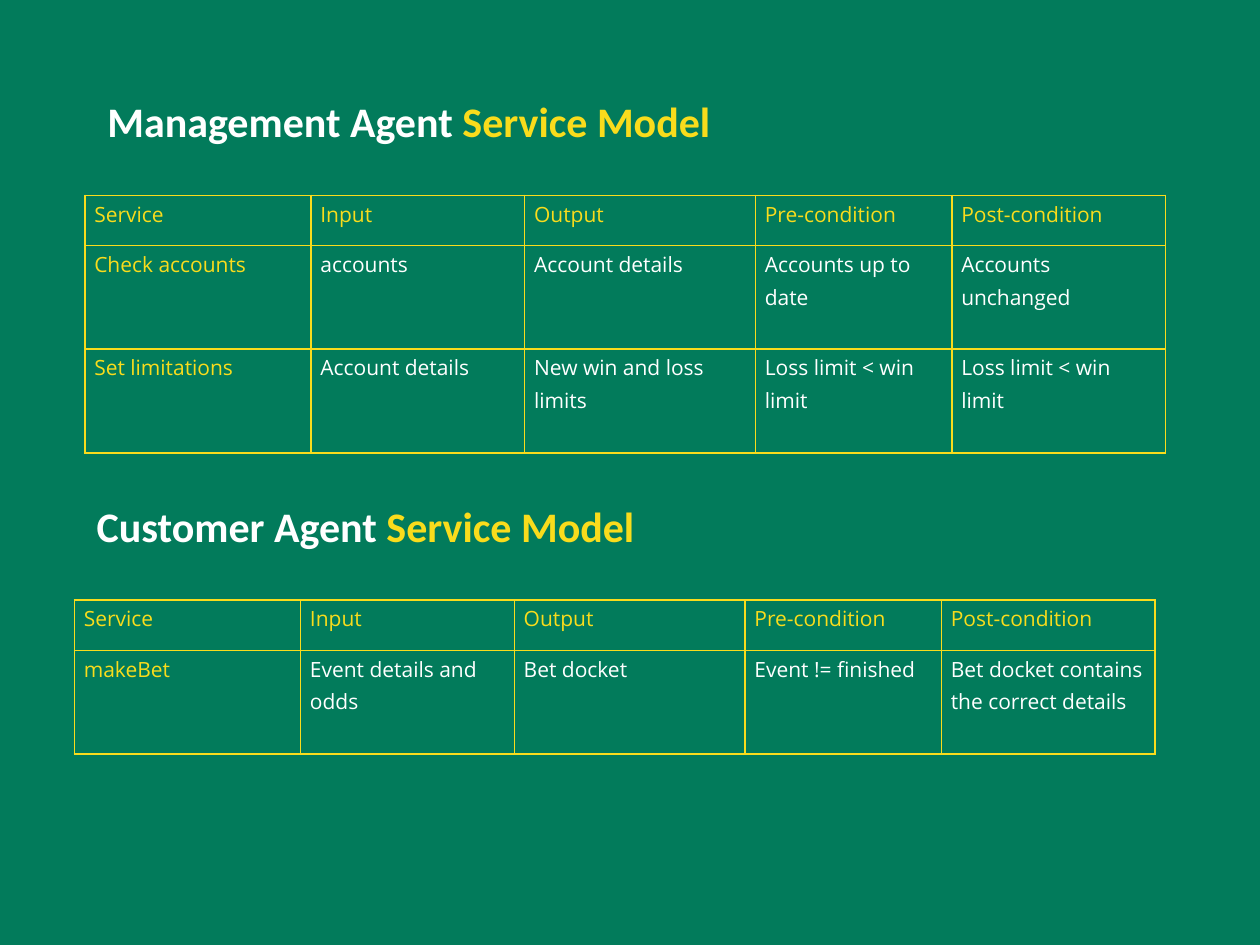
"""Build a slide with the service models of the management and customer agents."""
from lxml import etree
from pptx import Presentation
from pptx.dml.color import RGBColor
from pptx.enum.text import MSO_ANCHOR, MSO_AUTO_SIZE, PP_ALIGN
from pptx.oxml.ns import qn
from pptx.util import Cm, Pt

LEFT = PP_ALIGN.LEFT
MIDDLE = MSO_ANCHOR.MIDDLE
FIT_SHAPE = MSO_AUTO_SIZE.SHAPE_TO_FIT_TEXT

THEME = {
    "background": "027B5B",
    "accent": "F9DC1C",
    "text": "FFFFFF",
    "heading": ("Calibri", 24, True),
    "body": ("Open Sans", 12, False),
    "border": 1,
}
HEADER = ("Service", "Input", "Output", "Pre-condition", "Post-condition")
MODELS = [
    {
        "agent": "Management Agent ",
        "left": 1.91, "top": 1.8, "width": 12.8,
        "services": [
            ("Check accounts", "accounts", "Account details",
             "Accounts up to date", "Accounts unchanged"),
            ("Set limitations", "Account details", "New win and loss limits",
             "Loss limit < win limit", "Loss limit < win limit"),
        ],
    },
    {
        "agent": "Customer Agent ",
        "left": 1.7, "top": 9.96, "width": 11.46,
        "services": [
            ("makeBet", "Event details and odds", "Bet docket",
             "Event != finished", "Bet docket contains the correct details"),
        ],
    },
]
HEADING_HEIGHT = 1.27
TABLE_SHIFT = (-0.2, 2.14)
COLUMN_WIDTHS = (4.56, 4.31, 4.65, 3.96, 4.31)
HEADER_HEIGHT, SERVICE_HEIGHT = 1.01, 2.09
CELL_INSET = 0.19


def style(span, kind, color):
    """Give a run one of the theme's fonts and colours."""
    span.font.name, size, span.font.bold = THEME[kind]
    span.font.size = Pt(size)
    span.font.color.rgb = RGBColor.from_string(THEME[color])


def write_heading(box, model):
    """Place a heading and write it in two colours."""
    box.left, box.top = Cm(model["left"]), Cm(model["top"])
    box.width, box.height = Cm(model["width"]), Cm(HEADING_HEIGHT)
    frame = box.text_frame
    frame.word_wrap = False
    frame.auto_size = FIT_SHAPE
    frame.vertical_anchor = MIDDLE
    para = frame.paragraphs[0]
    para.alignment = LEFT
    for text, color in ((model["agent"], "text"), ("Service Model", "accent")):
        span = para.add_run()
        span.text = text
        style(span, "heading", color)


def add_borders(cell):
    """Draw an accent line on all four sides of a cell."""
    properties = cell._tc.get_or_add_tcPr()
    for side in ("a:lnL", "a:lnR", "a:lnT", "a:lnB"):
        line = etree.SubElement(properties, qn(side), w=str(Pt(THEME["border"])))
        fill = etree.SubElement(line, qn("a:solidFill"))
        etree.SubElement(fill, qn("a:srgbClr"), val=THEME["accent"])


def write_cell(cell, text, color):
    """Write and format one table cell."""
    cell.margin_left = cell.margin_right = Cm(CELL_INSET)
    cell.margin_top = cell.margin_bottom = 0
    add_borders(cell)
    cell.fill.background()
    para = cell.text_frame.paragraphs[0]
    para.text = text
    para.line_spacing = 1.15
    style(para.runs[0], "body", color)


def add_services(page, model):
    """Add the table of services below a heading."""
    rows = [HEADER, *model["services"]]
    heights = [HEADER_HEIGHT] + [SERVICE_HEIGHT] * len(model["services"])
    shift_x, shift_y = TABLE_SHIFT
    table = page.shapes.add_table(
        len(rows), len(HEADER),
        Cm(model["left"] + shift_x), Cm(model["top"] + shift_y),
        Cm(sum(COLUMN_WIDTHS)), Cm(sum(heights))).table
    table.first_row = table.horz_banding = False
    for column, width in zip(table.columns, COLUMN_WIDTHS):
        column.width = Cm(width)
    for i, (row, height) in enumerate(zip(rows, heights)):
        table.rows[i].height = Cm(height)
        for j, text in enumerate(row):
            color = "accent" if i == 0 or j == 0 else "text"
            write_cell(table.cell(i, j), text, color)


def main():
    """Assemble and save the deck."""
    deck = Presentation()
    deck.slide_width, deck.slide_height = Cm(25.4), Cm(19.05)
    page = deck.slides.add_slide(deck.slide_layouts[5])
    page.background.fill.solid()
    page.background.fill.fore_color.rgb = RGBColor.from_string(THEME["background"])
    for i, model in enumerate(MODELS):
        box = page.shapes.title if i == 0 else page.shapes.add_textbox(0, 0, 0, 0)
        write_heading(box, model)
        add_services(page, model)
    deck.save("out.pptx")


if __name__ == "__main__":
    main()
